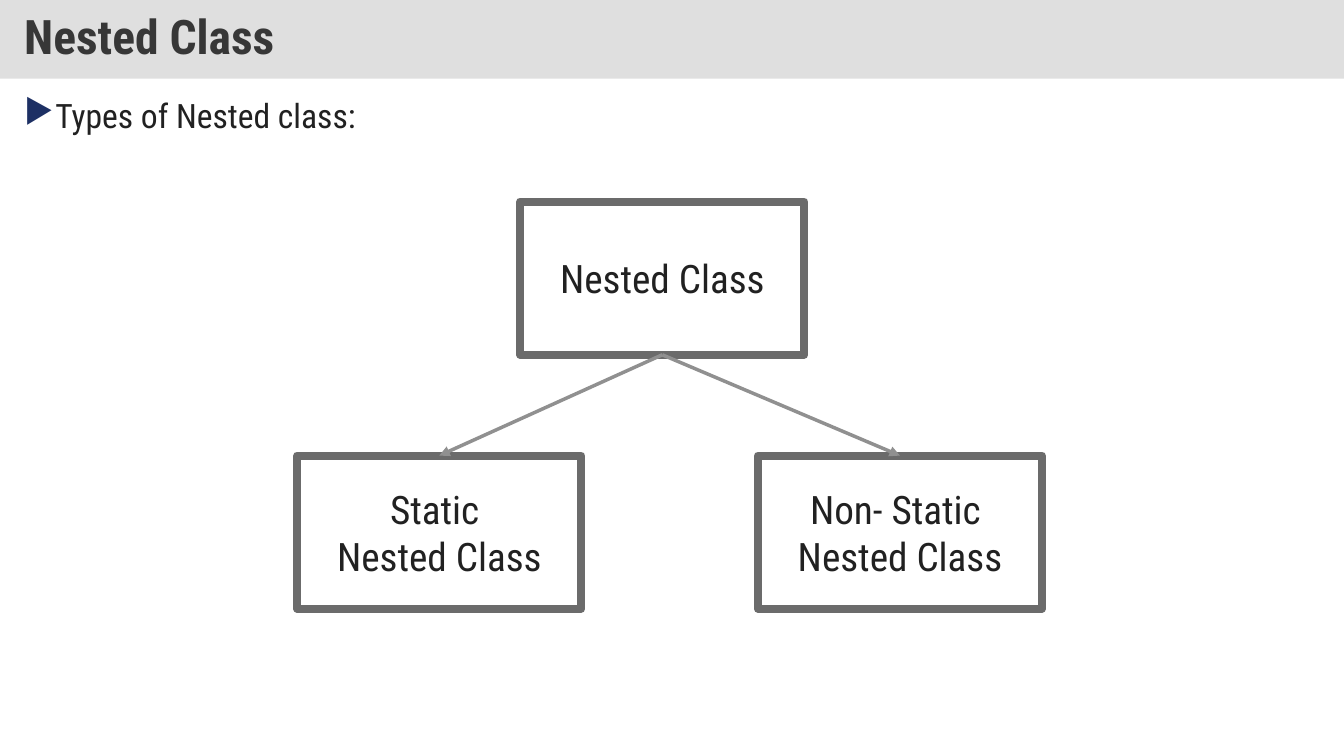
"""Build the slide that shows the two types of nested class as a tree."""
from lxml import etree
from pptx import Presentation
from pptx import util as u
from pptx.dml.color import RGBColor
from pptx.enum import shapes, text
from pptx.oxml.ns import qn

FONT = "Roboto Condensed"
BAND = RGBColor(0xC0, 0xC0, 0xC0)
TITLE = RGBColor(0x37, 0x37, 0x37)
INK = RGBColor(0x21, 0x21, 0x21)
BORDER = RGBColor(0x6B, 0x6B, 0x6B)
ARROW = RGBColor(0x90, 0x90, 0x90)
BULLET = RGBColor(0x1D, 0x30, 0x64)

BOX_WIDTH, BOX_HEIGHT = u.Cm(7.16), u.Cm(3.86)
BOTTOM_SITE, TOP_SITE = 2, 0


def write(frame, lines, size, color=INK, bold=False, align=text.PP_ALIGN.LEFT,
          anchor=text.MSO_ANCHOR.MIDDLE, spacing=None):
    """Fill a text frame with one paragraph per line and format it."""
    frame.word_wrap = True
    frame.auto_size = text.MSO_AUTO_SIZE.NONE
    frame.vertical_anchor = anchor
    for index, line in enumerate(lines):
        paragraph = frame.add_paragraph() if index else frame.paragraphs[0]
        paragraph.alignment = align
        paragraph.line_spacing = spacing
        run = paragraph.add_run()
        run.text = line
        run.font.name = FONT
        run.font.size = u.Pt(size)
        run.font.bold = bold
        run.font.color.rgb = color


def add_title(slide, wording, width):
    """Turn the title placeholder into a translucent band across the top."""
    title = slide.shapes.title
    title.left, title.top, title.width, title.height = 0, 0, width, u.Cm(1.98)
    title.fill.solid()
    title.fill.fore_color.rgb = BAND
    tint = title.fill._xPr.find(qn("a:solidFill"))[0]
    etree.SubElement(tint, qn("a:alpha"), val="50000")
    frame = title.text_frame
    frame.margin_left = frame.margin_right = u.Cm(0.61)
    frame.margin_top = frame.margin_bottom = u.Cm(0.3)
    write(frame, [wording], 34, color=TITLE, bold=True, spacing=0.9)


def add_bullet_text(slide, wording):
    """Add the body text with a triangular bullet."""
    body = slide.shapes.add_textbox(u.Cm(0.36), u.Cm(2.39), u.Cm(33.15), u.Cm(15.52))
    write(body.text_frame, [wording], 24, align=text.PP_ALIGN.JUSTIFY,
          anchor=text.MSO_ANCHOR.TOP, spacing=0.9)
    paragraph = body.text_frame.paragraphs[0]
    paragraph.space_before = u.Pt(10)
    properties = paragraph._p.get_or_add_pPr()
    indent = u.Cm(0.74)
    properties.set("marL", str(indent))
    properties.set("indent", str(-indent))
    bullet_color = etree.SubElement(properties, qn("a:buClr"))
    etree.SubElement(bullet_color, qn("a:srgbClr"), val=str(BULLET))
    etree.SubElement(properties, qn("a:buChar"), char="▶")


def add_class_box(slide, left, top, lines):
    """Add an outlined box that names a kind of class."""
    box = slide.shapes.add_shape(shapes.MSO_SHAPE.RECTANGLE, left, top, BOX_WIDTH, BOX_HEIGHT)
    box.shadow.inherit = False
    box.fill.background()
    box.line.color.rgb = BORDER
    box.line.width = u.Pt(5.75)
    write(box.text_frame, lines, 28, align=text.PP_ALIGN.CENTER)
    return box


def add_branch(slide, parent, child):
    """Draw an arrow from the bottom of the parent to the top of the child."""
    branch = slide.shapes.add_connector(shapes.MSO_CONNECTOR.STRAIGHT, 0, 0, 0, 0)
    branch.begin_connect(parent, BOTTOM_SITE)
    branch.end_connect(child, TOP_SITE)
    branch.line.color.rgb = ARROW
    branch.line.width = u.Pt(2.5)
    etree.SubElement(branch.line._get_or_add_ln(), qn("a:tailEnd"), type="triangle")
    etree.SubElement(branch._element.spPr, qn("a:effectLst"))


def main():
    """Assemble the slide and save it."""
    deck = Presentation()
    deck.slide_width, deck.slide_height = u.Cm(33.87), u.Cm(19.05)
    slide = deck.slides.add_slide(deck.slide_layouts.get_by_name("Title Only"))
    add_title(slide, "Nested Class", deck.slide_width)
    add_bullet_text(slide, "Types of Nested class:")
    parent = add_class_box(slide, u.Cm(13.11), u.Cm(5.08), ["Nested Class"])
    for left, kind in ((7.49, "Static "), (19.1, "Non- Static ")):
        child = add_class_box(slide, u.Cm(left), u.Cm(11.48), [kind, "Nested Class"])
        add_branch(slide, parent, child)
    deck.save("out.pptx")


if __name__ == "__main__":
    main()
